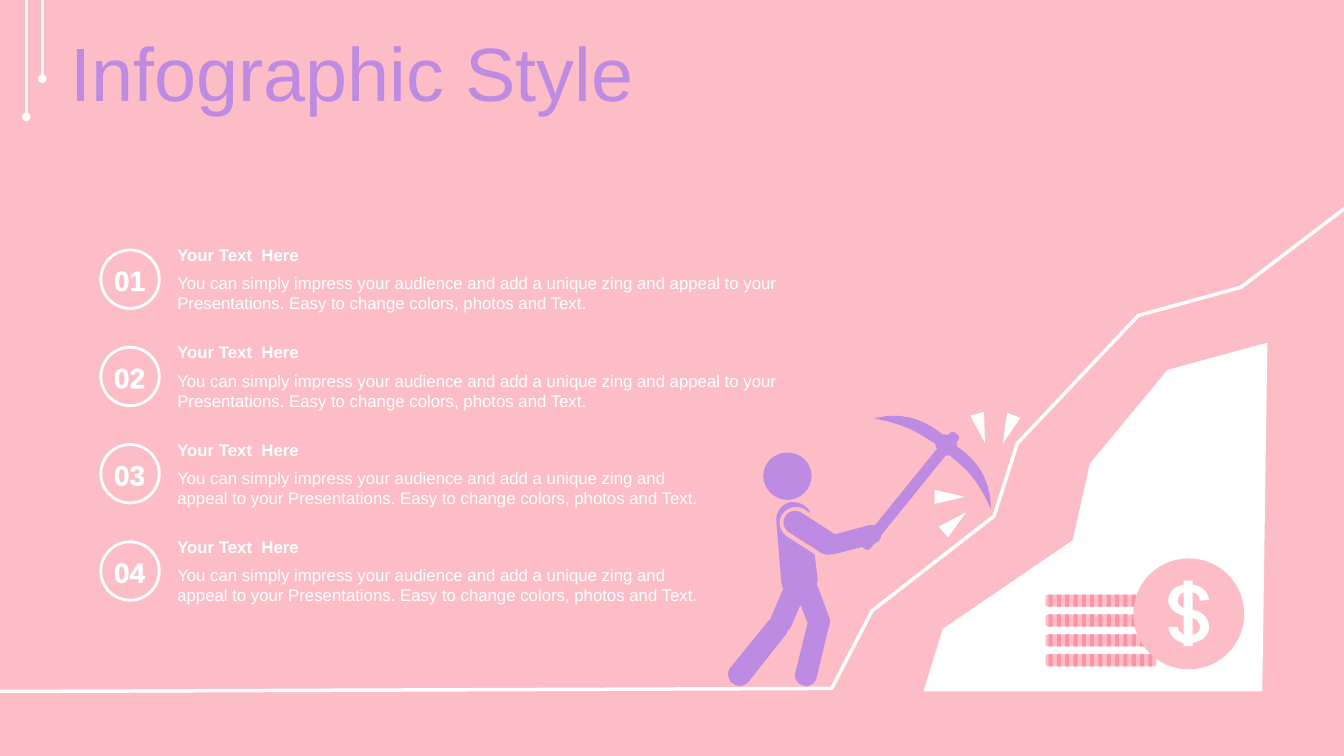
from dataclasses import dataclass
from typing import Optional

from lxml.etree import SubElement
from pptx import Presentation
from pptx.dml.color import RGBColor
from pptx.enum.shapes import MSO_CONNECTOR, MSO_SHAPE
from pptx.enum.text import MSO_ANCHOR, MSO_AUTO_SIZE, PP_ALIGN
from pptx.oxml import parse_xml
from pptx.oxml.ns import nsdecls, qn
from pptx.util import Emu, Inches, Pt

WHITE, PINK, ROSE, LILAC = "FFFFFF", "FDBDC7", "FC92A3", "BE8BE2"
CELL = Inches(0.1)
PITCH = 9.65
HEADING = "Your Text  Here"
DETAIL = ("You can simply impress your audience and add a unique zing and appeal to your "
          "Presentations. Easy to change colors, photos and Text.")

MOUNTAIN = "M 125.7,34 L 115.8,36.7 108.1,46 106.4,53.6 93.5,62.4 91.6,68.6 125.2,68.6 Z"
RIDGE = "M 0,68.6 L 82.5,68.3 86.5,60.6 98.6,51.2 100.9,44 112.9,31.3 123.1,28.5 133.6,20.5"
PICK_RIGHT = "M 94.9,44.3 C 96.2,45.1 98.3,47 98.3,50.5 96.6,46.8 95.3,46.2 94.2,45.2 Z"
PICK_LEFT = "M 93.6,43.2 C 92.4,42.2 90.1,40.6 86.7,41.5 90.7,42.3 91.6,43.4 92.9,44.1 Z"
MINER = """
M 78.5,49.8 C 79.3,49.8 79.9,50.1 80.3,50.7 L 80.3,50.9 79.8,50.5
C 79,50.1 78.1,50.3 77.6,51 77.1,51.7 77.3,52.7 78,53.2
L 80.8,55 81.1,57.5 81,57.9 82.3,61.4 C 82.3,61.5 82.3,61.7 82.3,61.8
82.3,61.9 82.3,62.1 82.2,62.2 L 81,67.2 C 80.9,67.8 80.3,68.2 79.7,68
79.1,67.9 78.7,67.3 78.9,66.7 L 80.1,61.8 79.4,60 78.4,62.3 78.1,62.6
C 78.1,62.8 78,62.9 77.9,63 L 74.2,67.7 C 73.8,68.1 73.1,68.2 72.7,67.8
L 72.6,67.8 C 72.2,67.4 72.1,66.7 72.4,66.3 L 76.2,61.6 76.4,61.5
C 76.4,61.5 76.4,61.5 76.4,61.4 L 77.6,58.6 77.7,58.5 77.5,57.9 77,51.7
C 76.9,50.8 77.6,49.9 78.5,49.8 Z
M 78.1,44.9 C 79.4,44.9 80.5,45.9 80.5,47.2 80.5,48.5 79.4,49.6 78.1,49.6
76.8,49.6 75.7,48.5 75.7,47.2 75.7,45.9 76.8,44.9 78.1,44.9 Z"""
DOLLAR = """
M 118.3,61.3 L 118.3,63 118.6,62.9 C 118.9,62.7 119.1,62.4 119,62
118.9,61.8 118.8,61.7 118.7,61.5 Z
M 117.4,58.8 L 117.3,58.8 C 116.9,59 116.8,59.4 116.8,59.7
116.9,60 117.1,60.2 117.3,60.3 L 117.4,60.3 Z
M 117.4,57.6 L 118.3,57.6 118.3,58 118.8,58.1 C 119.4,58.4 119.9,58.9 119.9,59.5
L 119,59.6 C 119,59.2 118.8,58.9 118.4,58.8 L 118.3,58.7 118.3,60.5 118.7,60.6
C 119.2,60.8 119.7,61.1 119.9,61.9 120,62.6 119.7,63.2 119.1,63.5
L 118.3,63.8 118.3,64.1 117.4,64.1 117.4,63.8 117,63.7
C 116.4,63.4 115.9,62.8 115.9,62.2 L 116.8,62.2 C 116.8,62.5 117.1,62.8 117.4,63
L 117.4,61.1 117.1,61 C 116.6,60.8 116.1,60.5 115.9,59.8
115.8,59.2 116.1,58.6 116.7,58.2 L 117.4,58 Z"""


@dataclass
class Box:
    """A place on the slide, in columns and rows."""
    col: float
    row: float
    cols: float
    rows: float

    def emu(self) -> list[Emu]:
        return [cells(n) for n in (self.col, self.row, self.cols, self.rows)]


@dataclass
class Part:
    """A preset shape with its look."""
    kind: MSO_SHAPE
    box: Box
    fill: Optional[str]
    rot: float = 0
    adj: Optional[float] = None


@dataclass
class Item:
    """A numbered text block."""
    number: str
    cols: float


ITEMS = [Item("01", 62.2), Item("02", 62.2), Item("03", 54.1), Item("04", 54.1)]
BAR, OVAL, SPARK = MSO_SHAPE.ROUNDED_RECTANGLE, MSO_SHAPE.OVAL, MSO_SHAPE.ISOSCELES_TRIANGLE
PICK = [Part(BAR, Box(89.7, 41.4, 1.1, 14.6), LILAC, 39, 0.337),
        Part(BAR, Box(92.9, 43.3, 1.9, 1.7), LILAC, 39, 0.276)]
ARM = [Part(BAR, Box(79.3, 49.8, 2.3, 6.1), LILAC, 302.7, 0.5),
       Part(BAR, Box(83.5, 50.5, 1.9, 6.1), LILAC, 255.1, 0.5)]
COIN = Part(OVAL, Box(112.4, 55.4, 11, 11), PINK)
SPARKS = [Part(SPARK, Box(col, row, 1.4, 3), WHITE, rot) for col, row, rot in
          ((94, 50.3, 49.3), (93.5, 47.8, 90), (96.6, 41, 165), (99.3, 41.1, 201.1))]


def cells(n: float) -> Emu:
    """Turn grid cells into a length."""
    return Emu(round(n * CELL))


def rgb(value: str) -> RGBColor:
    """Turn a hex string into a colour."""
    return RGBColor.from_string(value)


def paint(sp, fill: Optional[str], line: Optional[str] = None, width: float = 2) -> None:
    """Set fill and line, without shadow."""
    sp.shadow.inherit = False
    if fill:
        sp.fill.solid()
        sp.fill.fore_color.rgb = rgb(fill)
    else:
        sp.fill.background()
    if line:
        sp.line.color.rgb = rgb(line)
        sp.line.width = Pt(width)
    else:
        sp.line.fill.background()


def add_part(s, part: Part, line: Optional[str] = None) -> None:
    """Draw a preset shape."""
    sp = s.shapes.add_shape(part.kind, *part.box.emu())
    sp.rotation = part.rot
    if part.adj is not None:
        sp.adjustments[0] = part.adj
    paint(sp, part.fill, line)


def trace(contour: str, steps: int = 8) -> list[tuple[float, float]]:
    """List the points of a contour, with its curves flattened."""
    points, waiting, need = [], [], 1
    for token in contour.split():
        if token in "LCZ":
            need = 3 if token == "C" else 1
            continue
        x, y = token.split(",")
        waiting.append((float(x), float(y)))
        if len(waiting) < need:
            continue
        if need == 3:
            curve = [points[-1], *waiting]
            for t in (i / steps for i in range(1, steps + 1)):
                weights = ((1 - t) ** 3, 3 * t * (1 - t) ** 2, 3 * t * t * (1 - t), t ** 3)
                points.append(tuple(sum(w * p[axis] for w, p in zip(weights, curve))
                                    for axis in (0, 1)))
        else:
            points += waiting
        waiting = []
    return points


def add_outline(s, outline: str, fill: Optional[str], line: Optional[str] = None) -> None:
    """Draw a free outline of one or more contours."""
    builder = None
    for contour in outline.split("M")[1:]:
        start, *rest = [(cells(x), cells(y)) for x, y in trace(contour)]
        if builder:
            builder.move_to(*start)
        else:
            builder = s.shapes.build_freeform(*start)
        builder.add_line_segments(rest, close="Z" in contour)
    paint(builder.convert_to_shape(), fill, line, 2.5)


def add_run(p, text: str, size: float, color: str, bold: bool = False):
    """Add a formatted run."""
    r = p.add_run()
    r.text = text
    r.font.name, r.font.size, r.font.bold = "Arial", Pt(size), bold
    r.font.color.rgb = rgb(color)
    return r


def add_text(s, box: Box, text: str, size: float = 12, bold: bool = False,
             align: PP_ALIGN = PP_ALIGN.LEFT):
    """Add a white one-paragraph text box."""
    tf = s.shapes.add_textbox(*box.emu()).text_frame
    tf.word_wrap, tf.auto_size = True, MSO_AUTO_SIZE.SHAPE_TO_FIT_TEXT
    tf.paragraphs[0].alignment = align
    return add_run(tf.paragraphs[0], text, size, WHITE, bold)


def add_pendulum(s, col: float, rows: float) -> None:
    """Hang a line with a round end from the top edge."""
    line = s.shapes.add_connector(MSO_CONNECTOR.STRAIGHT, cells(col), 0, cells(col), cells(rows))
    line.line.color.rgb, line.line.width = rgb(WHITE), Pt(2)
    SubElement(line.line._get_or_add_ln(), qn("a:tailEnd"), type="oval")
    SubElement(line._element.spPr, qn("a:effectLst"))


def add_title(s, text: str) -> None:
    """Fill the title placeholder."""
    sp = s.shapes.title
    sp.left, sp.top, sp.width, sp.height = Box(6, 3.7, 127.3, 7.9).emu()
    tf = sp.text_frame
    tf.auto_size, tf.vertical_anchor = MSO_AUTO_SIZE.NONE, MSO_ANCHOR.MIDDLE
    p = tf.paragraphs[0]
    p.alignment, p.line_spacing = PP_ALIGN.LEFT, 0.9
    add_run(p, text, 54, LILAC)


def add_item(s, item: Item, shift: float) -> None:
    """Draw a numbered ring with its heading and detail."""
    add_part(s, Part(OVAL, Box(10, 24.8 + shift, 5.8, 5.8), None), WHITE)
    r = add_text(s, Box(10.3, 25.6 + shift, 5.1, 4.4), item.number, 20, True, PP_ALIGN.CENTER)
    r._r.get_or_add_rPr().insert(0, parse_xml(
        f'<a:ln {nsdecls("a")} w="12700"><a:solidFill><a:srgbClr val="{WHITE}"/></a:solidFill></a:ln>'))
    add_text(s, Box(16.6, 23.8 + shift, item.cols, 3), HEADING, bold=True)
    add_text(s, Box(16.6, 26.6 + shift, item.cols, 5), DETAIL)


def add_coin_stack(s) -> None:
    """Draw four ridged coins, from the bottom up."""
    for level in range(4):
        row = 64.9 - level * 1.97
        add_part(s, Part(BAR, Box(103.7, row, 11, 1.2), PINK, adj=0.205))
        for ridge in range(13):
            add_part(s, Part(BAR, Box(104 + ridge * 0.825, row, 0.4, 1.2), ROSE, adj=0.205))


def main() -> None:
    """Build and save the slide."""
    prs = Presentation()
    prs.slide_width, prs.slide_height = Inches(13.33), Inches(7.5)
    s = prs.slides.add_slide(prs.slide_layouts[5])
    s.background.fill.solid()
    s.background.fill.fore_color.rgb = rgb(PINK)
    add_pendulum(s, 2.6, 11.6)
    add_pendulum(s, 4.2, 7.8)
    add_outline(s, MOUNTAIN, WHITE)
    add_coin_stack(s)
    add_title(s, "Infographic Style")
    for i, item in enumerate(ITEMS):
        add_item(s, item, i * PITCH)
    add_outline(s, RIDGE, None, WHITE)
    for part in PICK:
        add_part(s, part)
    for outline in (PICK_RIGHT, PICK_LEFT, MINER):
        add_outline(s, outline, LILAC)
    for part in [*ARM, COIN, *SPARKS]:
        add_part(s, part)
    add_outline(s, DOLLAR, WHITE)
    prs.save("out.pptx")


if __name__ == "__main__":
    main()
